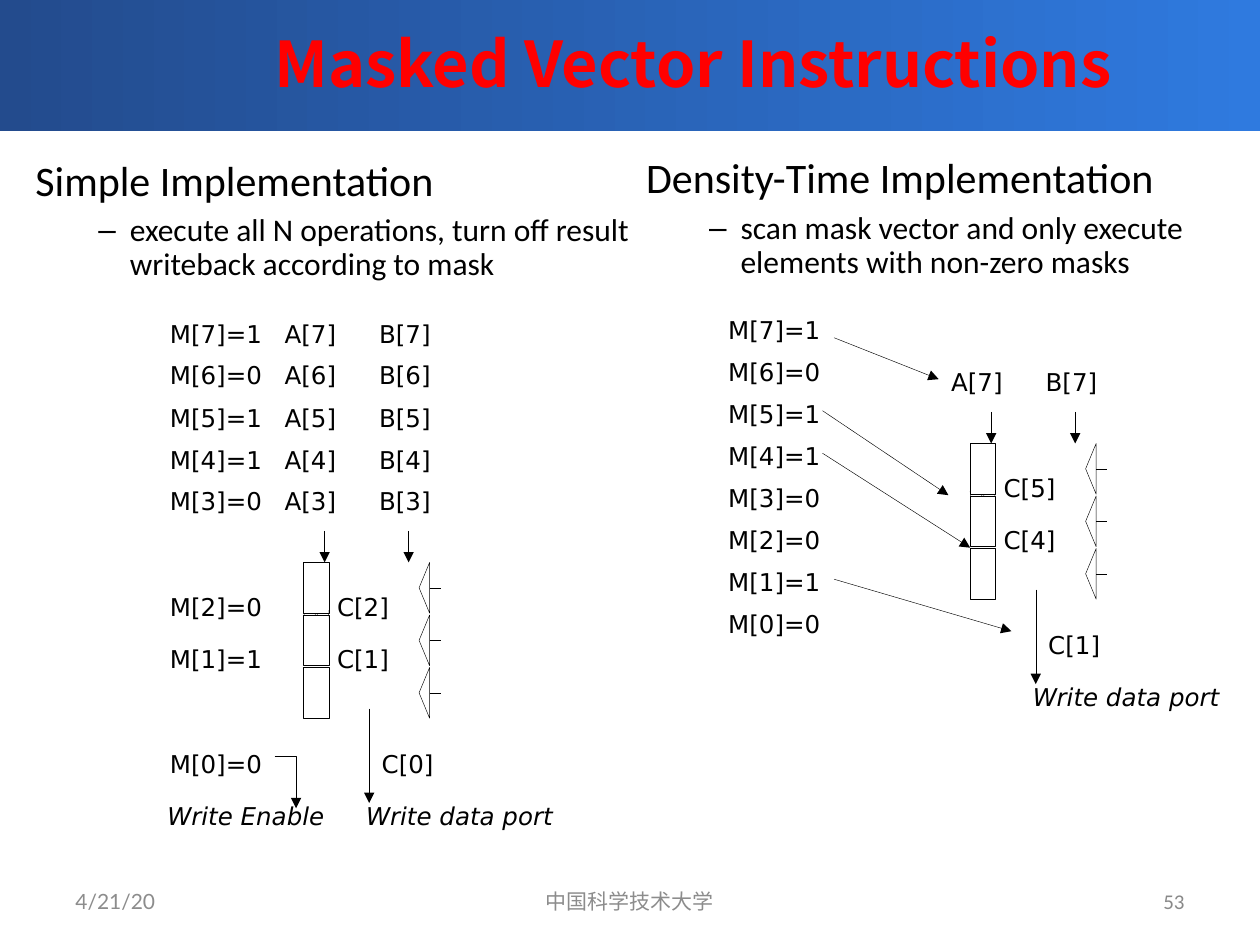
from pptx import Presentation
from pptx.dml.color import RGBColor
from pptx.enum.shapes import MSO_CONNECTOR, MSO_SHAPE
from pptx.enum.text import MSO_ANCHOR, MSO_AUTO_SIZE, PP_ALIGN
from pptx.oxml.ns import qn
from pptx.util import Pt
from lxml.etree import SubElement

BLACK = RGBColor(0x00, 0x00, 0x00)
WHITE = RGBColor(0xFF, 0xFF, 0xFF)
RED = RGBColor(0xFF, 0x00, 0x00)
BAND_DARK = RGBColor(0x23, 0x4B, 0x8D)
BAND_LIGHT = RGBColor(0x2F, 0x7A, 0xDF)
GRAY = RGBColor(0x8C, 0x8C, 0x8C)
NUMBER_GRAY = RGBColor(0x89, 0x89, 0x89)

LABEL = dict(name="DejaVu Sans", size=Pt(14), italic=False)
PORT = dict(LABEL, italic=True)
ROW = 24     # pitch of the vector elements
STAGE = 30   # pitch of the pipeline stages
LINE_W = 0.25
MASK = [0, 1, 0, 0, 1, 1, 0, 1]  # M[0] to M[7]


def write(p, text, fmt, color=BLACK):
    r = p.add_run()
    r.text = text
    for key, value in fmt.items():
        setattr(r.font, key, value)
    r.font.color.rgb = color


def place(sp, x, y, w, h):
    for key, value in dict(left=x, top=y, width=w, height=h).items():
        setattr(sp, key, Pt(value))


def text_box(s, text, x, y, w, h, fmt, color=BLACK, align=PP_ALIGN.LEFT, wrap=True):
    tf = s.shapes.add_textbox(Pt(x), Pt(y), Pt(w), Pt(h)).text_frame
    tf.word_wrap = wrap
    tf.vertical_anchor = MSO_ANCHOR.MIDDLE
    tf.paragraphs[0].alignment = align
    write(tf.paragraphs[0], text, fmt, color)


def label(s, text, x, y, w=46, fmt=LABEL):
    text_box(s, text, x, y, w, ROW, fmt, wrap=False)


def outline(sp, fill=None):
    sp.shadow.inherit = False
    if fill is None:
        sp.fill.background()
    else:
        sp.fill.solid()
        sp.fill.fore_color.rgb = fill
    sp.line.color.rgb = BLACK
    sp.line.width = Pt(LINE_W)


def arrowhead(sp):
    SubElement(sp.line._get_or_add_ln(), qn("a:tailEnd"), type="triangle")


def line(s, x1, y1, x2, y2, arrow=True):
    c = s.shapes.add_connector(MSO_CONNECTOR.STRAIGHT, Pt(x1), Pt(y1), Pt(x2), Pt(y2))
    c.line.color.rgb = BLACK
    c.line.width = Pt(LINE_W)
    if arrow:
        arrowhead(c)
    SubElement(c.element.spPr, qn("a:effectLst"))


def freeform(s, x, y, points, close=True, fill=None):
    points = [(Pt(x + dx), Pt(y + dy)) for dx, dy in points]
    fb = s.shapes.build_freeform(*points[0])
    fb.add_line_segments(points[1:], close=close)
    sp = fb.convert_to_shape()
    outline(sp, fill)
    return sp


def add_header(s, x, y, w, h):
    band = s.shapes.add_shape(MSO_SHAPE.RECTANGLE, Pt(x), Pt(y), Pt(w), Pt(h))
    band.shadow.inherit = False
    band.line.fill.background()
    band.fill.gradient()
    band.fill.gradient_angle = 0
    for stop, color in zip(band.fill.gradient_stops, (BAND_DARK, BAND_LIGHT)):
        stop.color.rgb = color
    s.shapes.element.insert(2, band.element)  # behind the title

    title = s.shapes.title
    place(title, x + 72, 0, w - 72, 71)
    tf = title.text_frame
    tf.auto_size = MSO_AUTO_SIZE.NONE
    tf.vertical_anchor = MSO_ANCHOR.MIDDLE
    tf.paragraphs[0].alignment = PP_ALIGN.CENTER
    write(tf.paragraphs[0], "Masked Vector Instructions",
          dict(name="Noto Sans CJK SC", size=Pt(36), bold=True), RED)


def add_footer(s, x, y, w, h):
    lato = dict(name="Lato", size=Pt(12))
    text_box(s, "4/21/20", x, y, 168, h, lato, GRAY)
    text_box(s, "中国科学技术大学", x + (w - 228) / 2, y, 228, h, lato, GRAY, PP_ALIGN.CENTER)
    text_box(s, "53", x + w - 168, y, 168, h, dict(lato, name="Calibri"),
             NUMBER_GRAY, PP_ALIGN.RIGHT)


def add_list(body, x, y, w, h, heading, detail):
    place(body, x, y, w, h)
    tf = body.text_frame
    tf.auto_size = MSO_AUTO_SIZE.NONE
    tf.vertical_anchor = MSO_ANCHOR.MIDDLE
    rows = [(heading, 24, 22.5, -22.5, None), (detail, 18, 54, -18, "–")]
    for level, (text, size, margin, indent, bullet) in enumerate(rows):
        p = tf.add_paragraph() if level else tf.paragraphs[0]
        p.level = level
        p.line_spacing = 0.9
        p.space_before = Pt(0.3 * size)
        pPr = p._p.get_or_add_pPr()
        pPr.set("marL", str(Pt(margin)))
        pPr.set("indent", str(Pt(indent)))
        if bullet:
            SubElement(pPr, qn("a:buChar"), char=bullet)
        else:
            SubElement(pPr, qn("a:buNone"))
        write(p, text, dict(name="Calibri", size=Pt(size)))


def add_mask(s, i, x, y):
    label(s, f"M[{i}]={MASK[i]}", x, y, 68)


def add_operands(s, i, x, y):
    label(s, f"A[{i}]", x, y)
    label(s, f"B[{i}]", x + 54, y)


def add_pipeline(s, x, y, results):
    # Functional unit with its stages and latches
    freeform(s, x, y + 27.5, [(0, 0), (3.6, 29), (11.2, 29), (14.4, 0),
                              (8.6, 0), (7.2, 4), (6, 0)])
    for top in (y + i * STAGE for i in range(3)):
        box = s.shapes.add_shape(MSO_SHAPE.RECTANGLE, Pt(x), Pt(top), Pt(14.4), Pt(29))
        outline(box, WHITE)
        freeform(s, x + 66, top, [(6, 29), (0, 14.5), (6, 0)], fill=WHITE)
        line(s, x + 72, top + 14.5, x + 78.4, top + 14.5, arrow=False)
    # Inputs, results and output port
    for dx in (12, 60):
        line(s, x + dx, y - 18, x + dx, y)
    for i, (dx, dy) in zip(results, [(12, 13), (12, 43), (37.5, 103)]):
        label(s, f"C[{i}]", x + dx, y + dy)
    line(s, x + 37.5, y + 83.5, x + 37.5, y + 137.5)
    label(s, "Write data port", x + 28.7, y + 133, 122, PORT)


def add_simple(s, body, x, y, w, h):
    add_list(body, x, y, w, h, "Simple Implementation",
             "execute all N operations, turn off result writeback according to mask")
    for row, i in enumerate(range(7, 2, -1)):
        add_mask(s, i, x + 77, y + 92 + row * ROW)
        add_operands(s, i, x + 142.5, y + 92 + row * ROW)
    add_pipeline(s, x + 160.5, y + 235, (2, 1, 0))
    for i, dy in zip((2, 1, 0), (248, 278, 338)):
        add_mask(s, i, x + 77, y + dy)
    arrowhead(freeform(s, x + 144, y + 346, [(0, 0), (12.2, 0), (12.2, 29.5)], close=False))
    label(s, "Write Enable", x + 75.6, y + 368, 105, PORT)


def add_density_time(s, body, x, y, w, h):
    add_list(body, x, y, w, h, "Density-Time Implementation",
             "scan mask vector and only execute elements with non-zero masks")
    for row, i in enumerate(range(7, -1, -1)):
        add_mask(s, i, x + 47, y + 91.4 + row * ROW)
    add_operands(s, 7, x + 174.4, y + 121)
    add_pipeline(s, x + 192.4, y + 168.4, (5, 4, 1))
    # From each set mask bit to its element
    for x1, y1, x2, y2 in [(114.6, 108, 174.4, 131.7), (108, 149.7, 180, 198),
                           (108, 174, 192.4, 228), (114.6, 246, 216, 275.7)]:
        line(s, x + x1, y + y1, x + x2, y + y2)


def main():
    prs = Presentation()
    prs.slide_width, prs.slide_height = Pt(720), Pt(540)
    s = prs.slides.add_slide(prs.slide_layouts[3])
    left, right = s.placeholders[1], s.placeholders[2]
    add_header(s, 0, -2, 720, 77)
    add_simple(s, left, 13, 86.4, 390, 80)
    add_density_time(s, right, 362, 85, 372, 80)
    add_footer(s, 36, 500.5, 648, 28.8)
    prs.save("out.pptx")


if __name__ == "__main__":
    main()
